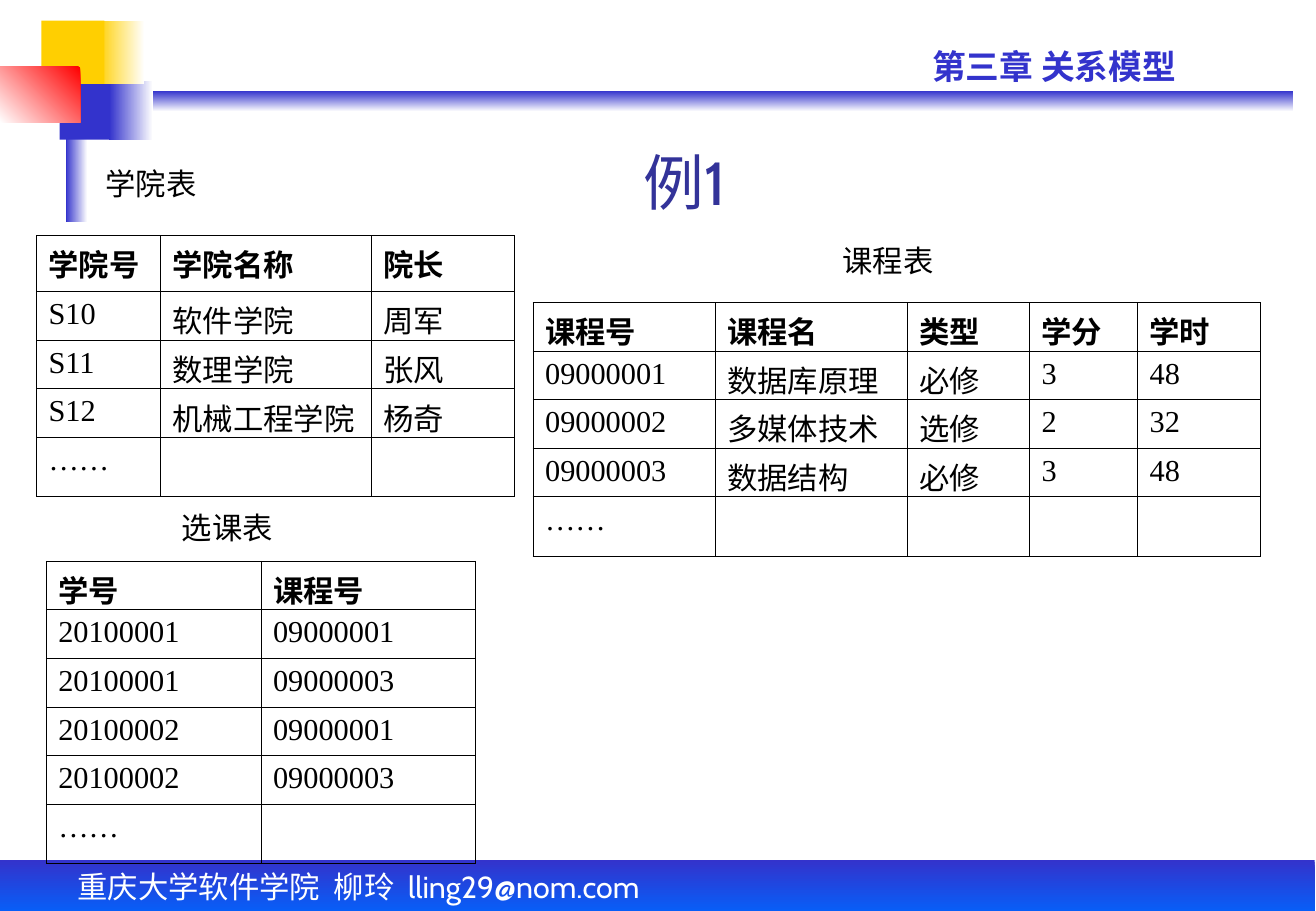
from lxml import etree
from pptx import Presentation
from pptx.dml.color import RGBColor
from pptx.enum import shapes, text
from pptx.oxml.ns import qn
from pptx.util import Inches, Pt

HEX = {"blue": "3333CC", "navy": "333399", "sky": "0066FF", "gold": "FFCF01",
       "red": "FF0000", "white": "FFFFFF", "black": "000000"}
RGB = {name: RGBColor.from_string(code) for name, code in HEX.items()}
NOTO, TIMES, CABIN = "Noto Sans CJK SC", "Times New Roman", "Cabin"
DOTS = "……"

deck = Presentation()
deck.slide_width, deck.slide_height = Inches(10.84), Inches(7.5)
slide = deck.slides.add_slide(deck.slide_layouts[6])


def style(para, words, face, size=18, color="black", bold=False):
    """Fill a paragraph and set its Latin and East Asian font."""
    para.text = words
    font = para.font
    font.name, font.size, font.bold = face, Pt(size), bold
    font.color.rgb = RGB[color]
    east = etree.SubElement(para._p.pPr.find(qn("a:defRPr")), qn("a:ea"))
    east.set("typeface", NOTO if face == CABIN else face)


def edge(cell):
    """Draw thin black lines on all four sides of a cell."""
    props = cell._tc.get_or_add_tcPr()
    for i, side in enumerate(("lnL", "lnR", "lnT", "lnB")):
        line = etree.Element(qn("a:" + side), w=str(Pt(0.45)))
        fill = etree.SubElement(line, qn("a:solidFill"))
        etree.SubElement(fill, qn("a:srgbClr"), val=HEX["black"])
        props.insert(i, line)


# Bars and blocks: place, first colour, last colour, clockwise angle
bars = [
    ((0.63, 0.75, 10.02, 0.17), "blue", "white", 90),
    ((0.9, 0.67, 0.36, 0.48), "white", "blue", 180),
    ((0, 7.08, 10.83, 0.5), "blue", "sky", 90),
    ((0.54, 0.58, 0.18, 1.25), "white", "blue", 180),
    ((0.49, 0.67, 0.41, 0.48), "blue", None, 0),
    ((0.8, 0.17, 0.39, 0.52), "white", "gold", 180),
    ((0.34, 0.17, 0.52, 0.52), "gold", None, 0),
    ((0, 0.55, 0.66, 0.46), "red", "white", 135),
]
for place, first, last, angle in bars:
    bar = slide.shapes.add_shape(shapes.MSO_SHAPE.RECTANGLE, *map(Inches, place))
    bar.shadow.inherit = False
    bar.line.fill.background()
    if last:
        bar.fill.gradient()
        bar.fill.gradient_angle = 360 - angle
        for stop, tone in zip(bar.fill.gradient_stops, (first, last)):
            stop.color.rgb = RGB[tone]
    else:
        bar.fill.solid()
        bar.fill.fore_color.rgb = RGB[first]

# Texts: place, words, face, size, colour, bold, space before, anchor, wrap
TOP, MID, LOW = (text.MSO_ANCHOR.TOP, text.MSO_ANCHOR.MIDDLE,
                 text.MSO_ANCHOR.BOTTOM)
notes = [
    ((0.54, 7.1, 6.05, 0.4), "重庆大学软件学院  柳玲  lling29@nom.com",
     CABIN, 18, "white", False, 11.2, TOP, True),
    ((7.58, 0.33, 3.07, 0.44), "第三章 关系模型",
     CABIN, 20, "blue", True, 12.5, TOP, True),
    ((1.35, 1.17, 8.58, 0.67), "例1", CABIN, 36, "navy", False, 0, LOW, True),
]
labels = [(0.77, 1.31, "学院表"), (6.84, 1.94, "课程表"), (1.4, 4.14, "选课表")]
notes += [((x, y, 0.95, 0.4), words, NOTO, 18, "black", False, 0, MID, False)
          for x, y, words in labels]
for place, words, face, size, color, bold, gap, anchor, wrap in notes:
    frame = slide.shapes.add_textbox(*map(Inches, place)).text_frame
    frame.word_wrap, frame.vertical_anchor = wrap, anchor
    para = frame.paragraphs[0]
    para.space_before = Pt(gap)
    if anchor == LOW:
        para.alignment = text.PP_ALIGN.CENTER
    style(para, words, face, size, color, bold)

# Tables: left, top, column widths, head height, rows
tables = [
    (0.3, 1.94, (1.02, 1.74, 1.18), 0.46, [
        ("学院号", "学院名称", "院长"),
        ("S10", "软件学院", "周军"),
        ("S11", "数理学院", "张风"),
        ("S12", "机械工程学院", "杨奇")]),
    (4.39, 2.49, (1.5, 1.58, 1.01, 0.89, 1.01), 0.4, [
        ("课程号", "课程名", "类型", "学分", "学时"),
        ("09000001", "数据库原理", "必修", "3", "48"),
        ("09000002", "多媒体技术", "选修", "2", "32"),
        ("09000003", "数据结构", "必修", "3", "48")]),
    (0.38, 4.62, (1.77, 1.77), 0.4, [
        ("学号", "课程号"),
        ("20100001", "09000001"),
        ("20100001", "09000003"),
        ("20100002", "09000001"),
        ("20100002", "09000003")]),
]
for left, top, widths, head, rows in tables:
    rows = rows + [(DOTS,) + ("",) * (len(widths) - 1)]
    highs = [head] + [0.4] * (len(rows) - 2) + [0.49]
    grid = slide.shapes.add_table(
        len(rows), len(widths), Inches(left), Inches(top),
        Inches(sum(widths)), Inches(sum(highs))).table
    grid.first_row = grid.horz_banding = False
    for col, width in zip(grid.columns, widths):
        col.width = Inches(width)
    for r, (row, high) in enumerate(zip(rows, highs)):
        grid.rows[r].height = Inches(high)
        for c, words in enumerate(row):
            cell = grid.cell(r, c)
            cell.fill.background()
            cell.margin_bottom = 0
            edge(cell)
            face = TIMES if words.isascii() or words == DOTS else NOTO
            style(cell.text_frame.paragraphs[0], words, face, bold=r == 0)

deck.save("out.pptx")
